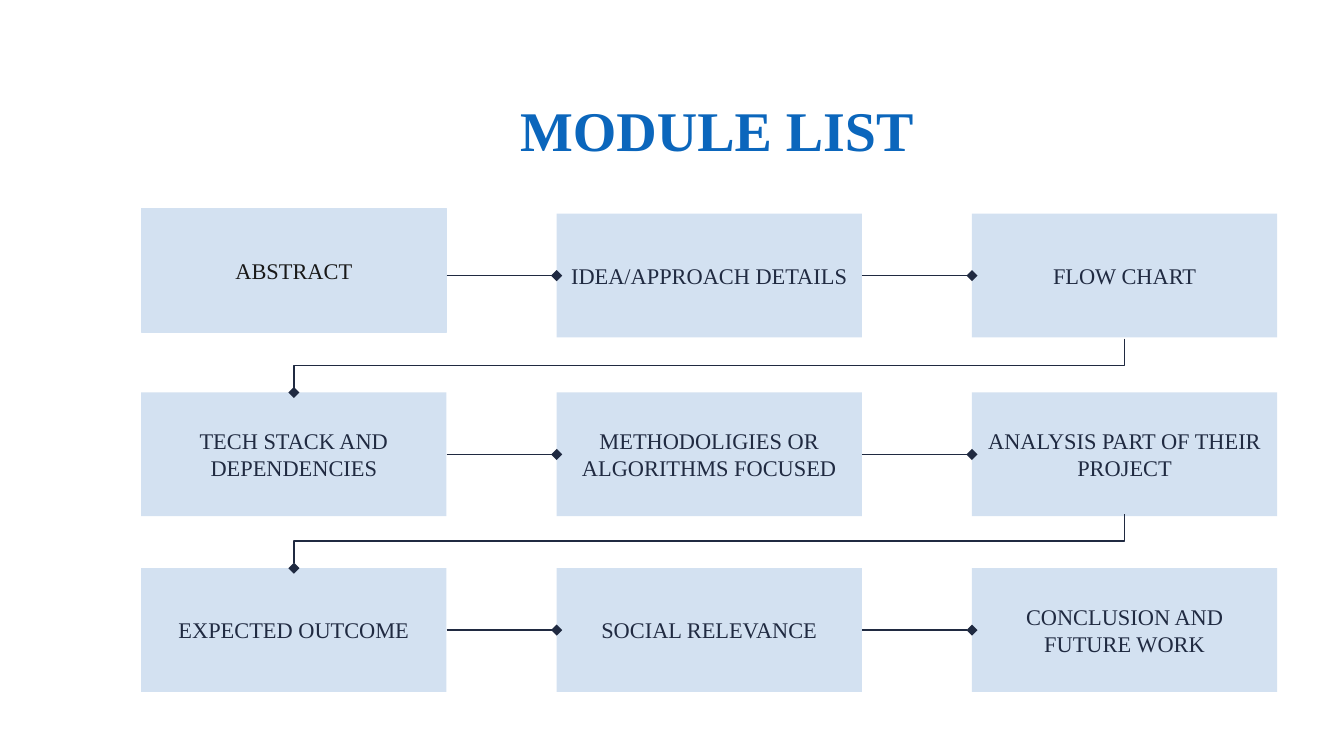
from pptx import Presentation
from pptx.dml.color import RGBColor
from pptx.enum.shapes import MSO_CONNECTOR as Link, MSO_SHAPE as Form
from pptx.enum.text import MSO_ANCHOR as Anchor, PP_ALIGN as Align
from pptx.oxml.ns import qn
from pptx.util import Cm, Pt
from lxml.etree import SubElement

PALE = RGBColor(0xD3, 0xE1, 0xF1)
NAVY = RGBColor(0x20, 0x2A, 0x41)
BLACK = RGBColor(0x19, 0x19, 0x19)
BLUE = RGBColor(0x0B, 0x66, 0xBC)
WIDTH, HEIGHT, PITCH = 5.77, 2.34, 7.85
LEFT, RAISE, DROP = 2.67, 0.1, 1.02
ROWS = [
    (4.04, ["ABSTRACT", "IDEA/APPROACH DETAILS", "FLOW CHART"]),
    (7.42, ["TECH STACK AND DEPENDENCIES",
            "METHODOLIGIES OR ALGORITHMS FOCUSED",
            "ANALYSIS PART OF THEIR PROJECT"]),
    (10.74, ["EXPECTED OUTCOME", "SOCIAL RELEVANCE",
             "CONCLUSION AND FUTURE WORK"]),
]
FRAME = {"word_wrap": True, "vertical_anchor": Anchor.MIDDLE,
         "margin_left": Cm(0.25), "margin_right": Cm(0.25),
         "margin_top": Cm(0.25), "margin_bottom": Cm(0.25)}


def set_all(item, values):
    for name, value in values.items():
        setattr(item, name, value)


def write(shape, text, size, color, bold=False):
    frame = shape.text_frame
    set_all(frame, FRAME)
    para = frame.paragraphs[0]
    para.alignment = Align.CENTER
    run = para.add_run()
    run.text = text
    set_all(run.font, {"name": "Times New Roman", "size": Pt(size), "bold": bold})
    run.font.color.rgb = color


def add_title(slide, left, top, width, height):
    box = slide.shapes.add_textbox(Cm(left), Cm(top), Cm(width), Cm(height))
    write(box, "MODULE LIST", 30, BLUE, True)


def add_box(slide, left, top, text, color=NAVY):
    box = slide.shapes.add_shape(Form.RECTANGLE, Cm(left), Cm(top),
                                 Cm(WIDTH), Cm(HEIGHT))
    box.shadow.inherit = False
    box.fill.solid()
    box.fill.fore_color.rgb = PALE
    box.line.fill.background()
    write(box, text, 12, color)
    return box


def add_link(slide, kind, *ends):
    """Add a thin line with a diamond at its end."""
    link = slide.shapes.add_connector(kind, *map(Cm, ends))
    link.line.color.rgb = NAVY
    link.line.width = Pt(0.75)
    props = link.element.spPr
    SubElement(props.find(qn("a:ln")), qn("a:tailEnd"), type="diamond")
    SubElement(props, qn("a:effectLst"))
    return link


def add_turn(slide, start, end, top):
    """Lead down from x = start and back to x = end, just above a row."""
    mid_x, mid_y, span = (start + end) / 2, top - DROP / 2, start - end
    x, y = mid_x - DROP / 2, mid_y - span / 2
    link = add_link(slide, Link.ELBOW, x, y, x + DROP, y + span)
    link.element.spPr.find(qn("a:xfrm")).set("rot", "5400000")


def add_row(slide, left, top, texts, raised):
    """Place a row of joined boxes; a raised first box sits a little higher."""
    boxes = []
    for col, text in enumerate(texts):
        lift = raised and col == 0
        box = add_box(slide, left + col * PITCH, top - RAISE * lift, text,
                      BLACK if lift else NAVY)
        if lift:
            box.line.color.rgb = PALE
            box.line.width = Pt(0.75)
        boxes.append(box)
    mid = top + HEIGHT / 2
    for col, (prev, box) in enumerate(zip(boxes, boxes[1:])):
        x = left + col * PITCH
        link = add_link(slide, Link.STRAIGHT, x + WIDTH, mid, x + PITCH, mid)
        if not (raised and col == 0):
            link.begin_connect(prev, 3)
        link.end_connect(box, 1)


def main():
    deck = Presentation()
    set_all(deck, {"slide_width": Cm(25.4), "slide_height": Cm(14.29)})
    slide = deck.slides.add_slide(deck.slide_layouts[6])
    add_title(slide, 4.04, 1.65, 19.02, 1.6)
    for row, (top, texts) in enumerate(ROWS):
        add_row(slide, LEFT, top, texts, row == 0)
        if row:
            first = LEFT + WIDTH / 2
            add_turn(slide, first + 2 * PITCH, first, top)
    deck.save("out.pptx")


if __name__ == "__main__":
    main()
